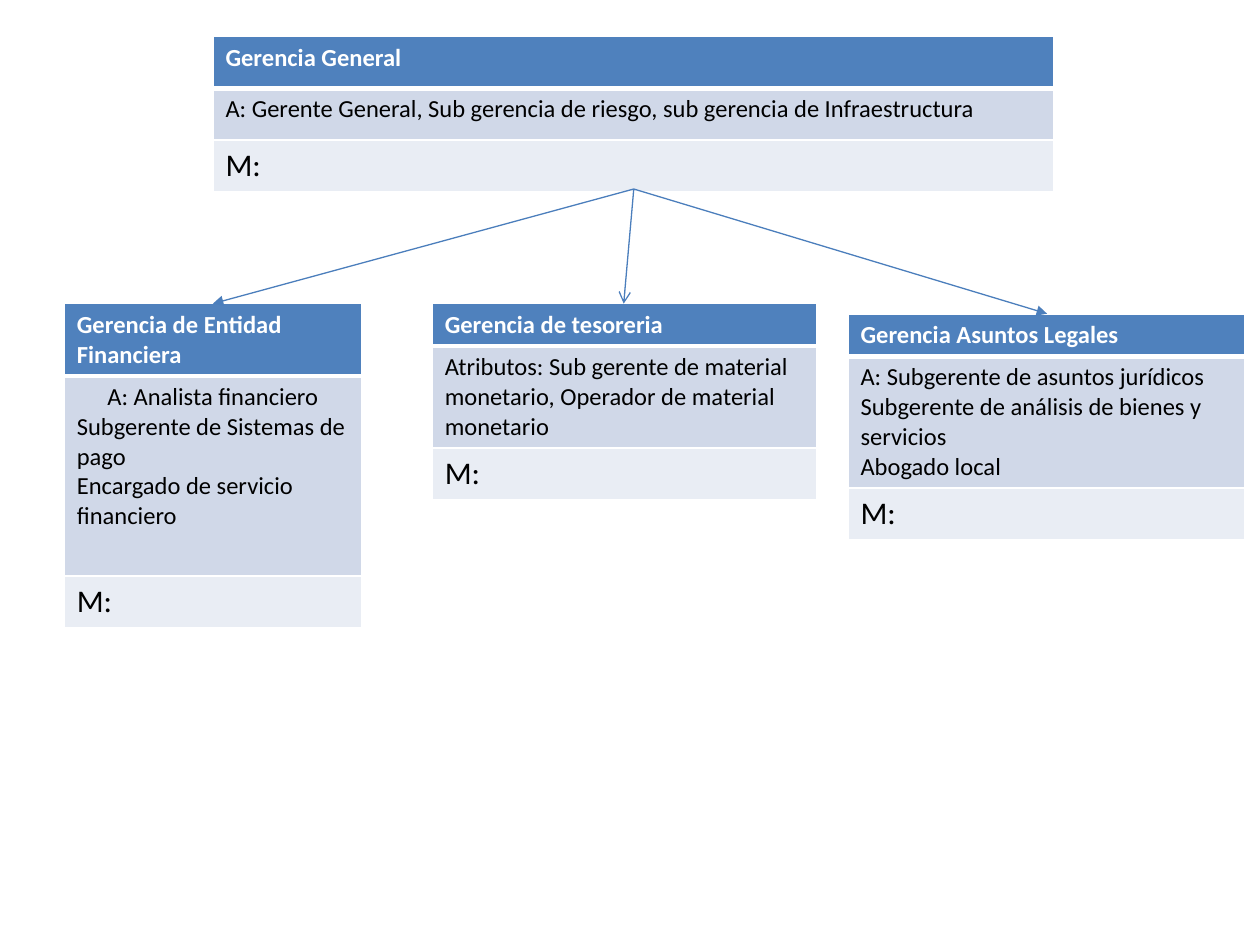
import pptx
import pptx.util
import pptx.dml.color
import pptx.enum.shapes
import pptx.enum.text
import pptx.oxml.ns
from lxml import etree

Inches = pptx.util.Inches
FONT = "Calibri"
WHITE, BLACK, LINE = "FFFFFF", "000000", "4B7EBC"
FILLS = ("4F81BD", "D0D8E8", "E9EDF4")
SIZES = (14, 14, 18)


def color(code):
    """Turn a hex string into a colour."""
    return pptx.dml.color.RGBColor.from_string(code)


def add_tag(parent, name, **attrs):
    """Append a drawing element to a parent."""
    return etree.SubElement(parent, pptx.oxml.ns.qn(name), attrs)


def set_edges(cell, top, bottom):
    """Give a cell white edges with the given top and bottom widths."""
    props = cell._tc.get_or_add_tcPr()
    widths = {"a:lnL": 1, "a:lnR": 1, "a:lnT": top, "a:lnB": bottom}
    for name, width in widths.items():
        edge = add_tag(props, name, w=str(pptx.util.Pt(width)))
        fill = add_tag(edge, "a:solidFill")
        add_tag(fill, "a:srgbClr", val=WHITE)


def fill_cell(cell, row, text):
    """Write and format one cell according to its row."""
    set_edges(cell, 3 if row == 1 else 1, 3 if row == 0 else 1)
    cell.fill.solid()
    cell.fill.fore_color.rgb = color(FILLS[row])
    cell.text_frame.text = text
    for para in cell.text_frame.paragraphs:
        for run in para.runs:
            run.font.name = FONT
            run.font.size = pptx.util.Pt(SIZES[row])
            run.font.bold = row == 0
            run.font.color.rgb = color(BLACK if row else WHITE)


def add_box(slide, left, top, width, heights, title, body):
    """Add a three-row class table and return it."""
    frame = slide.shapes.add_table(
        3, 1, Inches(left), Inches(top), Inches(width), Inches(sum(heights)))
    table = frame.table
    for row, text in enumerate((title, body, "M:")):
        table.rows[row].height = Inches(heights[row])
        fill_cell(table.cell(row, 0), row, text)
    return table


def add_arrow(slide, start, end, head):
    """Add a thin arrow between two points."""
    points = [Inches(n) for n in (*start, *end)]
    arrow = slide.shapes.add_connector(
        pptx.enum.shapes.MSO_CONNECTOR.STRAIGHT, *points)
    arrow.line.color.rgb = color(LINE)
    arrow.line.width = pptx.util.Pt(0.75)
    add_tag(arrow.line._get_or_add_ln(), "a:tailEnd", type=head)
    add_tag(arrow._element.spPr, "a:effectLst")


def main():
    """Build the chart of departments."""
    deck = pptx.Presentation()
    deck.slide_width, deck.slide_height = Inches(10), Inches(7.5)
    slide = deck.slides.add_slide(deck.slide_layouts[6])

    add_box(slide, 1.69, 0.29, 6.67, (0.41, 0.41, 0.41), "Gerencia General",
            "A: Gerente General, Sub gerencia de riesgo, "
            "sub gerencia de Infraestructura")
    add_box(slide, 3.43, 2.41, 3.05, (0.33, 0.8, 0.41),
            "Gerencia de tesoreria",
            "Atributos: Sub gerente de material monetario, "
            "Operador de material monetario")
    finance = add_box(slide, 0.51, 2.41, 2.36, (0.57, 1.59, 0.41),
                      "Gerencia de Entidad Financiera",
                      "A: Analista financiero\n"
                      "Subgerente de Sistemas de pago\n"
                      "Encargado de servicio financiero")
    first = finance.cell(1, 0).text_frame.paragraphs[0]
    first.alignment = pptx.enum.text.PP_ALIGN.CENTER
    add_box(slide, 6.73, 2.49, 3.15, (0.33, 1.04, 0.41),
            "Gerencia Asuntos Legales",
            "A: Subgerente de asuntos jurídicos\n"
            "Subgerente de análisis de bienes y servicios\n"
            "Abogado local")

    root = (5.03, 1.5)
    for end, head in (((4.95, 2.41), "arrow"), ((1.69, 2.41), "triangle"),
                      ((8.31, 2.49), "triangle")):
        add_arrow(slide, root, end, head)
    deck.save("out.pptx")


main()
